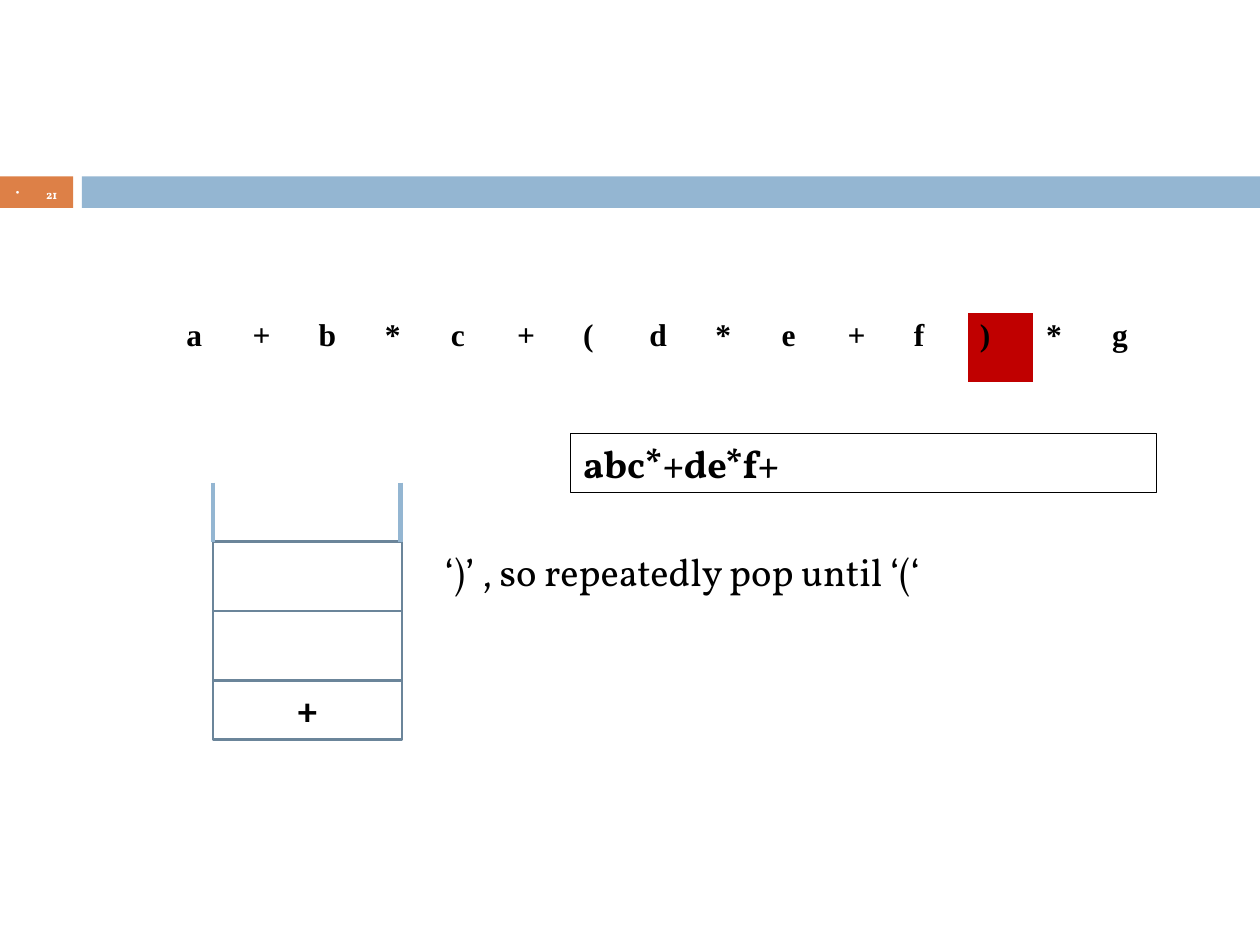
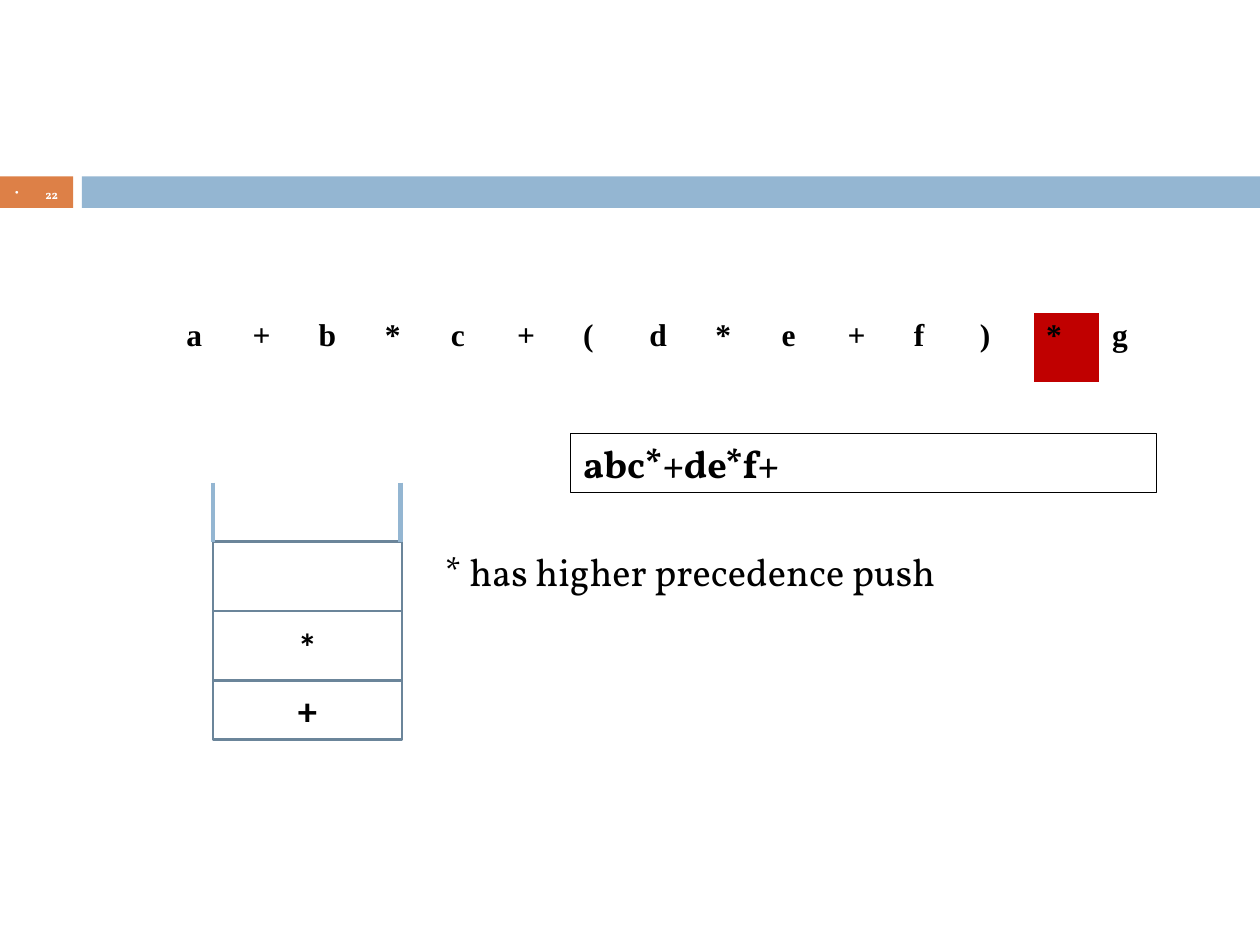
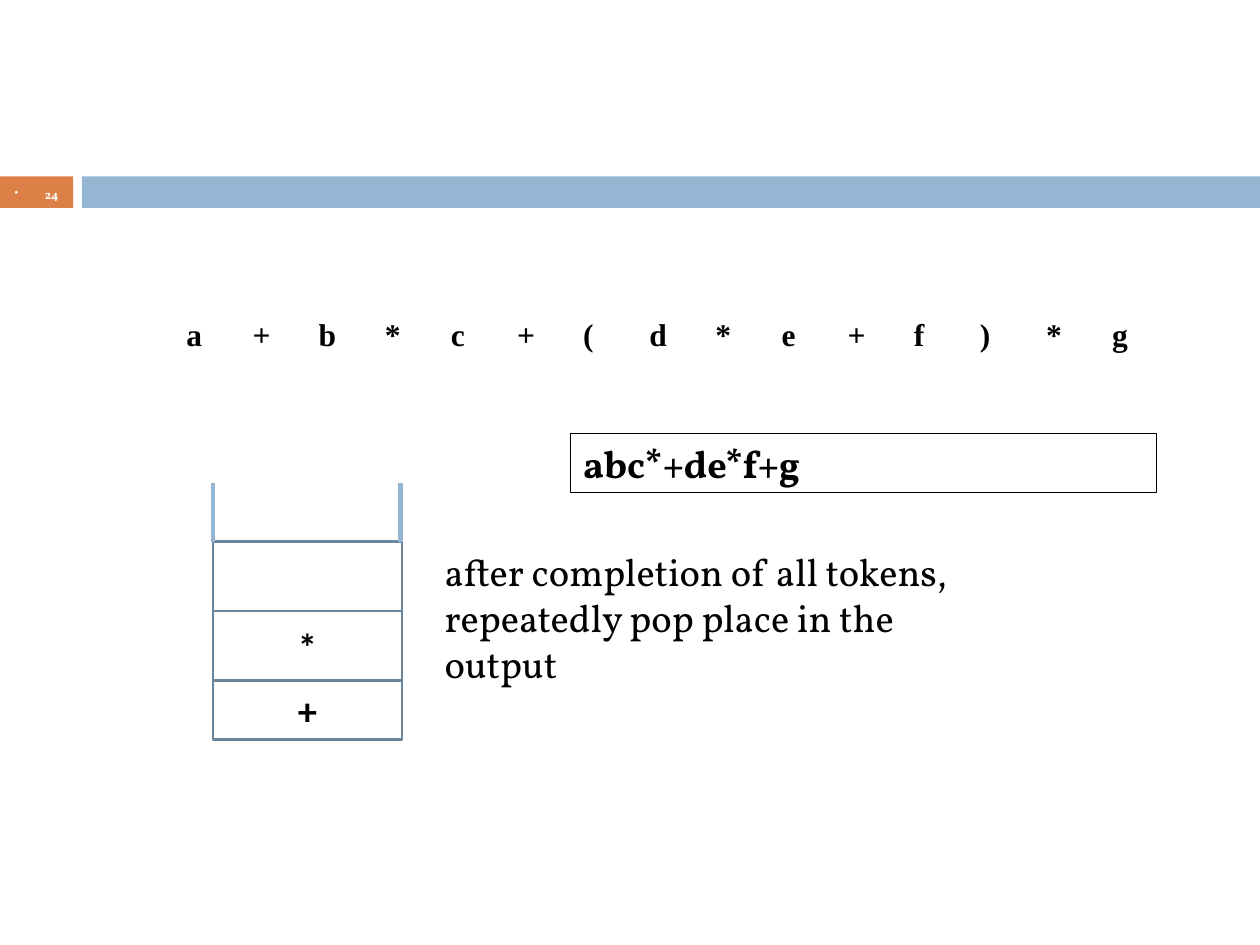
from lxml import etree
from pptx import Presentation, util as u
from pptx.dml.color import RGBColor
from pptx.enum import shapes, text
from pptx.oxml import ns

COLUMNS, ROWS = 100, 75
WHITE, BLACK, RED = "FFFFFF", "000000", "C00000"
ORANGE, BLUE, SLATE = "DD8047", "94B6D2", "6B859A"
SERIF, SANS, TOKEN_FONT = "Vollkorn", "Calibri", "Times New Roman"
CENTER = text.PP_ALIGN.CENTER
MIDDLE = text.MSO_ANCHOR.MIDDLE

EXPRESSION = "a+b*c+(d*e+f)*g"
TOKEN_WIDTH = 5.25
STACK_LEFT, STACK_WIDTH = 16.9, 15
STACK_BOTTOM_TOP, LEVEL_HEIGHT, BASE_HEIGHT = 54, 5.5, 4.7
STACK_LEVELS = 3

STEPS = [
    ("21", 12, "+", "abc*+de*f+", "‘)’ , so repeatedly pop until ‘(‘", 8.4),
    ("22", 13, "+*", "abc*+de*f+", "* has higher precedence push", 8.4),
    ("24", None, "+*", "abc*+de*f+g",
     "after completion of all tokens, repeatedly pop place in the output", 15.7),
]


def rgb(value):
    return RGBColor.from_string(value)


def child(parent, tag, **attributes):
    return etree.SubElement(parent, ns.qn(tag), attributes)


class Deck:
    def __init__(self):
        self.show = Presentation()
        self.show.slide_width, self.show.slide_height = u.Inches(10), u.Inches(7.5)
        self.slide = None

    def x(self, columns):
        return u.Emu(round(self.show.slide_width * columns / COLUMNS))

    def y(self, rows):
        return u.Emu(round(self.show.slide_height * rows / ROWS))

    def place(self, left, top, width, height):
        return self.x(left), self.y(top), self.x(width), self.y(height)

    def put_words(self, frame, words, font, size, color=BLACK, bold=False, align=None):
        paragraph = frame.paragraphs[0]
        paragraph.text = words
        paragraph.alignment = align
        style = paragraph.font
        style.name, style.size, style.bold = font, u.Pt(size), bold
        style.color.rgb = rgb(color)

    def box(self, area, fill, line=None, width=0):
        rectangle = self.slide.shapes.add_shape(
            shapes.MSO_SHAPE.RECTANGLE, *self.place(*area))
        rectangle.shadow.inherit = False
        rectangle.fill.solid()
        rectangle.fill.fore_color.rgb = rgb(fill)
        if line:
            rectangle.line.color.rgb = rgb(line)
            rectangle.line.width = u.Pt(width)
        else:
            rectangle.line.fill.background()
        return rectangle

    def label(self, area):
        frame = self.slide.shapes.add_textbox(*self.place(*area)).text_frame
        frame.word_wrap = True
        return frame

    def rail(self, column, top, bottom):
        side = self.slide.shapes.add_connector(
            shapes.MSO_CONNECTOR.STRAIGHT,
            self.x(column), self.y(top), self.x(column), self.y(bottom))
        side.line.color.rgb = rgb(BLUE)
        side.line.width = u.Pt(2.5)
        child(side._element.spPr, "a:effectLst")

    def page(self, number):
        self.slide = self.show.slides.add_slide(self.show.slide_layouts[6])
        self.box((0, 14, 5.8, 2.5), ORANGE)
        self.box((6.5, 14, 93.5, 2.5), BLUE)
        frame = self.label((0, 13.9, 5.8, 2.7))
        frame.vertical_anchor = MIDDLE
        paragraph = frame.paragraphs[0]
        paragraph.line_spacing = 1.3
        indent = self.x(2.4)
        properties = paragraph._p.get_or_add_pPr()
        properties.set("marL", str(indent))
        properties.set("indent", str(-indent))
        child(child(properties, "a:buClr"), "a:srgbClr", val=WHITE)
        child(properties, "a:buSzPct", val="85000")
        child(properties, "a:buChar", char="•")
        self.put_words(frame, number, SERIF, 7, WHITE, True, CENTER)

    def tokens(self, current):
        count = len(EXPRESSION)
        table = self.slide.shapes.add_table(
            1, count, *self.place(13.8, 24.8, TOKEN_WIDTH * count, 5.6)).table
        table.first_row = table.horz_banding = False
        for index, token in enumerate(EXPRESSION):
            table.columns[index].width = self.x(TOKEN_WIDTH)
            cell = table.cell(0, index)
            self.put_words(cell.text_frame, token, TOKEN_FONT, 18, bold=True)
            self.borders(cell)
            cell.fill.solid()
            cell.fill.fore_color.rgb = rgb(RED if index == current else WHITE)

    def borders(self, cell):
        properties = cell._tc.get_or_add_tcPr()
        for side, width in zip("LRTB", (0.45, 0.45, 0.45, 1.47)):
            edge = child(properties, "a:ln" + side, w=str(u.Pt(width)))
            child(child(edge, "a:solidFill"), "a:srgbClr", val=WHITE)

    def stack(self, operators):
        for level in range(STACK_LEVELS):
            height = LEVEL_HEIGHT if level else BASE_HEIGHT
            top = STACK_BOTTOM_TOP - level * LEVEL_HEIGHT
            slot = self.box((STACK_LEFT, top, STACK_WIDTH, height), WHITE, SLATE, 1.5)
            if level < len(operators):
                slot.text_frame.vertical_anchor = MIDDLE
                self.put_words(slot.text_frame, operators[level], SANS, 22,
                               bold=True, align=CENTER)
        for column in (STACK_LEFT, STACK_LEFT + STACK_WIDTH - 0.1):
            self.rail(column, 38.3, 43)

    def postfix(self, output):
        frame = self.box((45.3, 34.4, 46.5, 4.7), WHITE, BLACK, 0.75).text_frame
        frame.vertical_anchor = text.MSO_ANCHOR.TOP
        frame.auto_size = text.MSO_AUTO_SIZE.SHAPE_TO_FIT_TEXT
        self.put_words(frame, output, SERIF, 22, bold=True, align=text.PP_ALIGN.LEFT)

    def explanation(self, words, height):
        frame = self.label((34.3, 43, 44.9, height))
        frame.auto_size = text.MSO_AUTO_SIZE.SHAPE_TO_FIT_TEXT
        self.put_words(frame, words, SERIF, 22)


def main():
    deck = Deck()
    for number, current, operators, output, words, height in STEPS:
        deck.page(number)
        deck.tokens(current)
        deck.stack(operators)
        deck.postfix(output)
        deck.explanation(words, height)
    deck.show.save("out.pptx")


if __name__ == "__main__":
    main()
